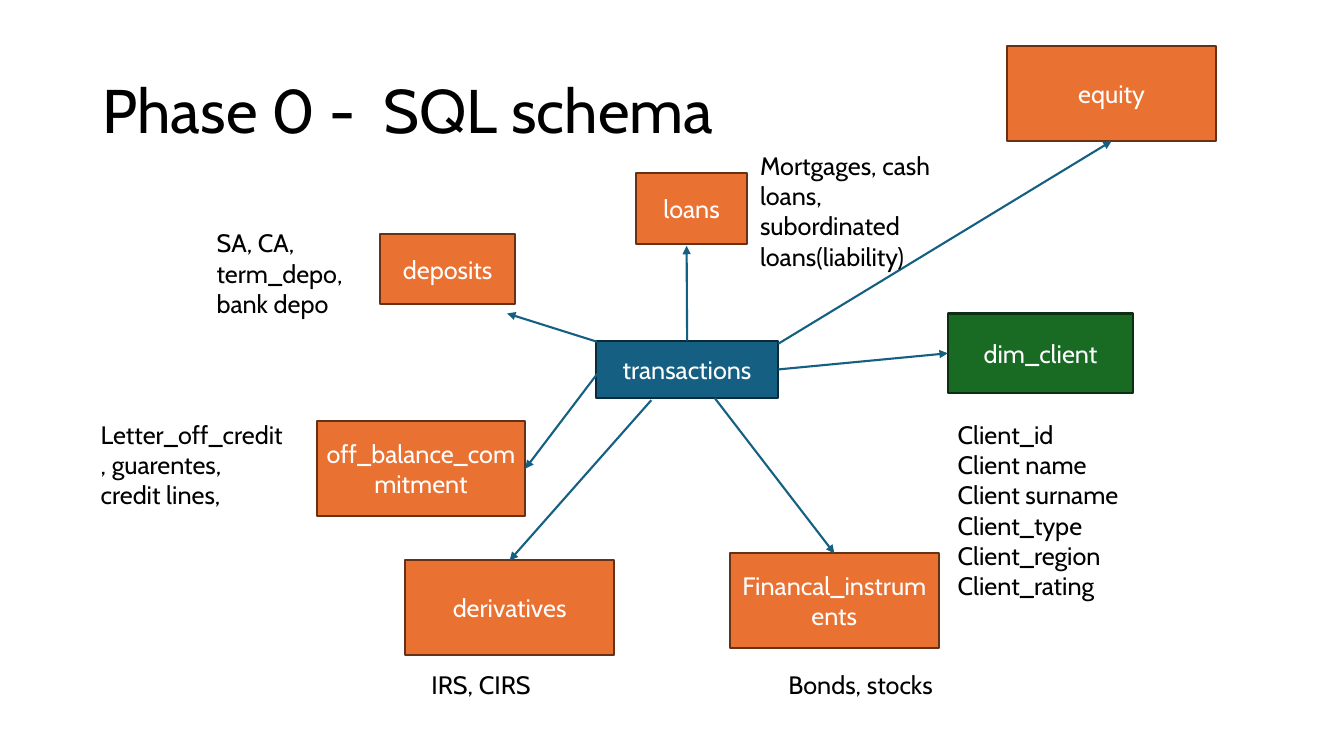
from lxml.etree import SubElement
from pptx import Presentation
from pptx.dml.color import RGBColor
from pptx.enum.shapes import MSO_CONNECTOR, MSO_SHAPE
from pptx.enum.text import MSO_ANCHOR, MSO_AUTO_SIZE, PP_ALIGN
from pptx.oxml.ns import qn
from pptx.util import Inches, Pt

FONT = "Cabin"
BLUE, ORANGE, GREEN = "156082", "E97132", "196B24"
BORDERS = {BLUE: "092A39", ORANGE: "663216", GREEN: "0B2F10"}
TOP, LEFT, BOTTOM, RIGHT = range(4)

TABLES = {
    "transactions": (BLUE, (5.91, 3.38, 1.81, 0.57)),
    "dim_client": (GREEN, (9.4, 3.11, 1.84, 0.79)),
    "loans": (ORANGE, (6.31, 1.72, 1.1, 0.7)),
    "deposits": (ORANGE, (3.77, 2.32, 1.34, 0.7)),
    "off_balance_commitment": (ORANGE, (3.14, 4.18, 2.07, 0.94)),
    "Financal_instruments": (ORANGE, (7.24, 5.49, 2.07, 0.94)),
    "derivatives": (ORANGE, (4.02, 5.56, 2.07, 0.94)),
    "equity": (ORANGE, (9.99, 0.46, 2.07, 0.94)),
}

NOTES = [
    ((9.4, 4.11, 2.01, 1.92), ["Client_id", "Client name", "Client surname",
                               "Client_type", "Client_region", "Client_rating"]),
    ((2.05, 2.21, 1.67, 1.01), ["SA, CA, term_depo, bank depo"]),
    ((7.44, 1.44, 2.24, 1.31), ["Mortgages, cash loans, subordinated loans(liability)"]),
    ((0.9, 4.11, 2.01, 1.01), ["Letter_off_credit, guarentes, credit lines,"]),
    ((4.18, 6.59, 2.01, 0.4), ["IRS, CIRS"]),
    ((7.72, 6.59, 2.01, 0.4), ["Bonds, stocks"]),
]

ARROWS = [
    ((6.82, 3.38), (6.81, 2.44), TOP, None, None),
    ((5.92, 3.39), (5.03, 3.11), None, None, None),
    ((6.15, 3.41), (5.21, 4.65), None, "off_balance_commitment", RIGHT),
    ((7.09, 3.95), (8.28, 5.49), None, "Financal_instruments", TOP),
    ((7.72, 3.67), (9.4, 3.5), RIGHT, "dim_client", LEFT),
    ((6.46, 3.97), (5.06, 5.56), None, "derivatives", TOP),
    ((7.72, 3.41), (11.03, 1.4), None, "equity", BOTTOM),
]


def color(value):
    return RGBColor.from_string(value)


def write(paragraph, text, size, font_color):
    run = paragraph.add_run()
    run.text = text
    run.font.name = FONT
    run.font.size = Pt(size)
    run.font.color.rgb = color(font_color)


def add_text(slide, box, lines, size=18):
    shape = slide.shapes.add_textbox(*map(Inches, box))
    frame = shape.text_frame
    frame.word_wrap = True
    for index, line in enumerate(lines):
        paragraph = frame.add_paragraph() if index else frame.paragraphs[0]
        write(paragraph, line, size, "000000")
    return frame


def add_title(slide, box, text):
    frame = add_text(slide, box, [text], 44)
    frame.vertical_anchor = MSO_ANCHOR.MIDDLE
    frame.paragraphs[0].line_spacing = 0.9


def add_table_box(slide, box, name, fill):
    shape = slide.shapes.add_shape(MSO_SHAPE.RECTANGLE, *map(Inches, box))
    shape.shadow.inherit = False
    shape.fill.solid()
    shape.fill.fore_color.rgb = color(fill)
    shape.line.color.rgb = color(BORDERS[fill])
    shape.line.width = Pt(1.5)
    frame = shape.text_frame
    frame.word_wrap = True
    frame.vertical_anchor = MSO_ANCHOR.MIDDLE
    paragraph = frame.paragraphs[0]
    paragraph.alignment = PP_ALIGN.CENTER
    write(paragraph, name, 18, "FFFFFF")
    return shape


def add_arrow(slide, start, end):
    arrow = slide.shapes.add_connector(
        MSO_CONNECTOR.STRAIGHT, *map(Inches, start + end))
    arrow.line.color.rgb = color(BLUE)
    arrow.line.width = Pt(1.5)
    SubElement(arrow.line._get_or_add_ln(), qn("a:tailEnd"), type="triangle")
    SubElement(arrow._element.spPr, qn("a:effectLst"))
    return arrow


def add_schema(slide):
    boxes = {name: add_table_box(slide, box, name, fill)
             for name, (fill, box) in TABLES.items()}
    for start, end, start_side, target, end_side in ARROWS:
        arrow = add_arrow(slide, start, end)
        if start_side is not None:
            arrow.begin_connect(boxes["transactions"], start_side)
        if target:
            arrow.end_connect(boxes[target], end_side)
    for box, lines in NOTES:
        frame = add_text(slide, box, lines)
        frame.auto_size = MSO_AUTO_SIZE.SHAPE_TO_FIT_TEXT


def main():
    presentation = Presentation()
    presentation.slide_width = Inches(13.33)
    presentation.slide_height = Inches(7.5)
    slide = presentation.slides.add_slide(presentation.slide_layouts[6])
    add_title(slide, (0.92, 0.4, 11.5, 1.45), "Phase 0 -  SQL schema")
    add_schema(slide)
    presentation.save("out.pptx")


if __name__ == "__main__":
    main()
